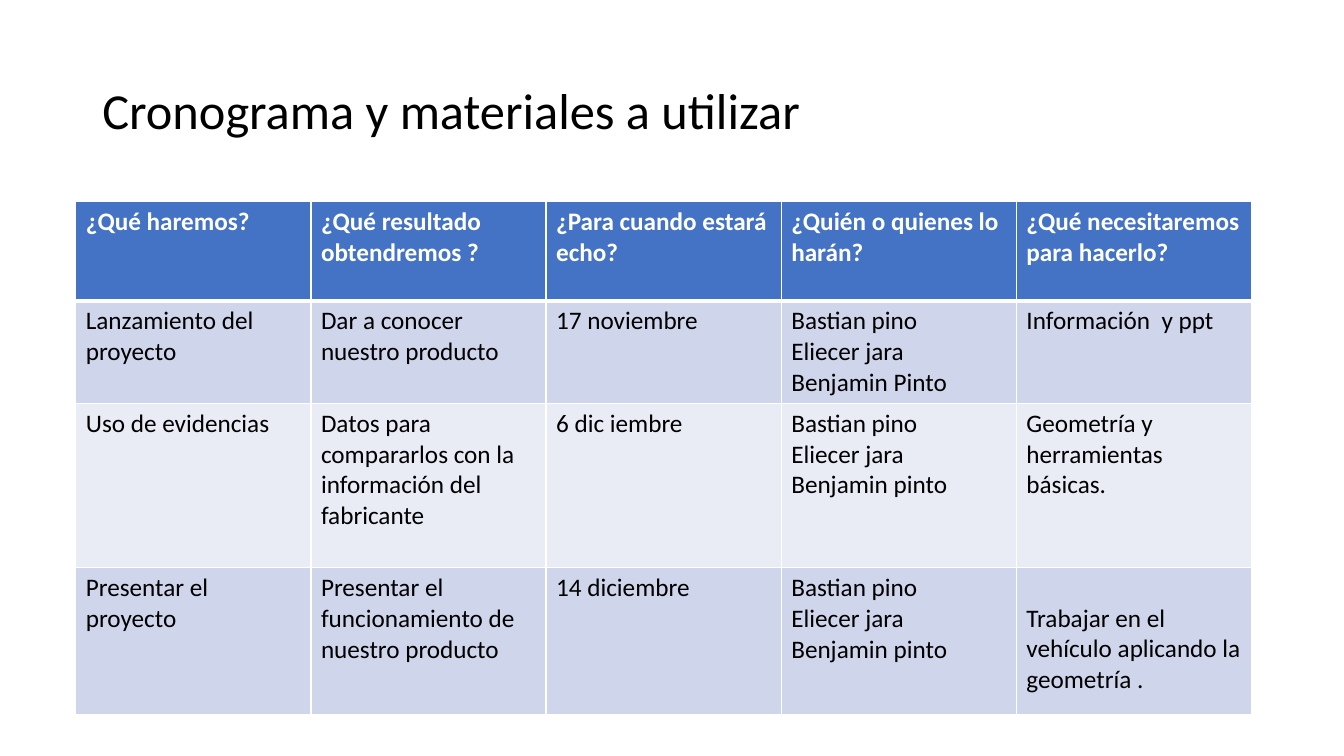
from lxml.etree import SubElement
from pptx import Presentation
from pptx.dml.color import RGBColor
from pptx.enum.text import MSO_ANCHOR
from pptx.oxml.ns import qn
from pptx.util import Cm, Pt

WHITE = RGBColor(0xFF, 0xFF, 0xFF)
BLACK = RGBColor(0x00, 0x00, 0x00)
HEADER_BLUE = RGBColor(0x44, 0x72, 0xC4)
BAND_DARK = RGBColor(0xCF, 0xD5, 0xEA)
BAND_LIGHT = RGBColor(0xE9, 0xEB, 0xF5)

TITLE_FORMAT = {"size": Pt(36), "bold": False}
HEADER_FORMAT = {"size": Pt(18), "bold": True}
BODY_FORMAT = {"size": Pt(18), "bold": False}

TEAM = "Bastian pino\nEliecer jara\nBenjamin pinto"
SCHEDULE = [
    ["¿Qué haremos?", "¿Qué resultado obtendremos ?", "¿Para cuando estará echo?",
     "¿Quién o quienes lo harán?", "¿Qué necesitaremos para hacerlo?"],
    ["Lanzamiento del proyecto", "Dar a conocer nuestro producto", "17 noviembre",
     TEAM.replace("pinto", "Pinto"), "Información  y ppt"],
    ["Uso de evidencias", "Datos para compararlos con la información del fabricante",
     "6 dic iembre", TEAM, "Geometría y herramientas básicas."],
    ["Presentar el proyecto", "Presentar el funcionamiento de nuestro producto",
     "14 diciembre", TEAM, "Trabajar en el vehículo aplicando la geometría ."],
]
ROW_HEIGHTS = [2.5, 2.58, 4.14, 3.7]


class SlideBuilder:
    """Holds the font and the slide being built."""

    def __init__(self, slide, font_name):
        self.slide = slide
        self.font_name = font_name

    def set_text(self, text_frame, text, color, formats, line_spacing=1.0):
        text_frame.text = text
        text_frame.word_wrap = True
        for paragraph in text_frame.paragraphs:
            paragraph.line_spacing = line_spacing
            for run in paragraph.runs:
                run.font.name = self.font_name
                run.font.color.rgb = color
                for name, value in formats.items():
                    setattr(run.font, name, value)

    def add_title(self, text, left, top, width, height):
        shape = self.slide.shapes.add_textbox(Cm(left), Cm(top), Cm(width), Cm(height))
        self.set_text(shape.text_frame, text, BLACK, TITLE_FORMAT, 0.9)
        shape.text_frame.vertical_anchor = MSO_ANCHOR.MIDDLE

    def add_borders(self, cell, widths):
        properties = cell._tc.get_or_add_tcPr()
        for side, width in widths.items():
            line = SubElement(properties, qn(f"a:ln{side}"), w=str(Pt(width)))
            fill = SubElement(line, qn("a:solidFill"))
            SubElement(fill, qn("a:srgbClr"), val=str(WHITE))

    def add_table(self, rows, heights, left, top, width):
        shape = self.slide.shapes.add_table(
            len(rows), len(rows[0]), Cm(left), Cm(top), Cm(width), Cm(sum(heights)))
        table = shape.table
        for column in table.columns:
            column.width = Cm(width / len(rows[0]))
        for row_index, texts in enumerate(rows):
            table.rows[row_index].height = Cm(heights[row_index])
            is_header = row_index == 0
            band = BAND_DARK if row_index % 2 else BAND_LIGHT
            for column_index, text in enumerate(texts):
                cell = table.cell(row_index, column_index)
                self.set_text(cell.text_frame, text, WHITE if is_header else BLACK,
                              HEADER_FORMAT if is_header else BODY_FORMAT)
                # The header rule is shared with the first body row
                self.add_borders(cell, {"L": 1, "R": 1, "T": 3 if row_index == 1 else 1,
                                        "B": 3 if is_header else 1})
                cell.fill.solid()
                cell.fill.fore_color.rgb = HEADER_BLUE if is_header else band
        return table


def main():
    presentation = Presentation()
    presentation.slide_width = Cm(33.87)
    presentation.slide_height = Cm(19.05)
    slide = presentation.slides.add_slide(presentation.slide_layouts[6])
    builder = SlideBuilder(slide, "Calibri")

    # Title
    builder.add_title("Cronograma y materiales a utilizar", 2.33, 1.01, 29.21, 3.68)

    # Schedule, with the last cell's text one line lower
    table = builder.add_table(SCHEDULE, ROW_HEIGHTS, 1.91, 5.08, 29.63)
    table.cell(3, 4).margin_top = Cm(0.9)

    presentation.save("out.pptx")


if __name__ == "__main__":
    main()
